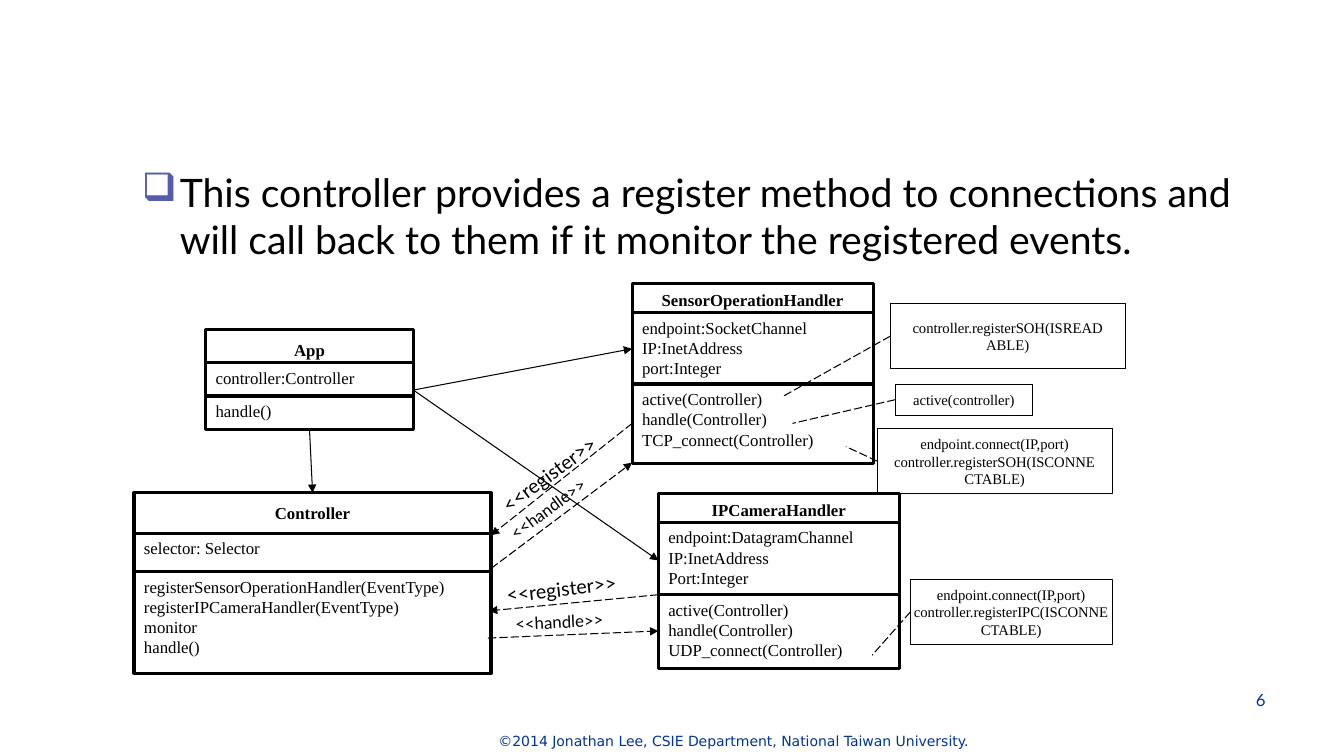
from pptx import Presentation
from pptx import util as u
from pptx.dml.color import RGBColor
from pptx.enum import dml, shapes, text
from pptx.oxml import ns
from lxml import etree

BLACK = RGBColor(0x00, 0x00, 0x00)
WHITE = RGBColor(0xFF, 0xFF, 0xFF)
NAVY = RGBColor(0x00, 0x33, 0x99)
VIOLET = RGBColor(0x55, 0x5D, 0xAB)

SERIF, SANS, FOOTER_FONT = "Times New Roman", "Lato", "DejaVu Sans"
LEFT, CENTER, RIGHT = text.PP_ALIGN.LEFT, text.PP_ALIGN.CENTER, text.PP_ALIGN.RIGHT
TOP, MIDDLE = text.MSO_ANCHOR.TOP, text.MSO_ANCHOR.MIDDLE

CELL = u.Inches(0.1)
PAGE_COLUMNS, PAGE_ROWS = 133.3, 75

CLASSES = [
    (13.3, 35.4, [
        (48.9, 4, ["Controller"]),
        (52.9, 3.8, ["selector: Selector"]),
        (56.7, 10.1, ["registerSensorOperationHandler(EventType)",
                      "registerIPCameraHandler(EventType)", "monitor", "handle()"]),
    ]),
    (20.4, 20.6, [
        (32.7, 4, ["App"]),
        (36, 3.3, ["controller:Controller"]),
        (39.3, 3.3, ["handle()"]),
    ]),
    (62.7, 23.9, [
        (28.1, 3.2, ["SensorOperationHandler"]),
        (31, 7.3, ["endpoint:SocketChannel", "IP:InetAddress", "port:Integer"]),
        (38.1, 7.9, ["active(Controller)", "handle(Controller)", "TCP_connect(Controller)"]),
    ]),
    (65.3, 23.9, [
        (49, 3.2, ["IPCameraHandler"]),
        (51.8, 7.5, ["endpoint:DatagramChannel", "IP:InetAddress", "Port:Integer"]),
        (59, 7.3, ["active(Controller)", "handle(Controller)", "UDP_connect(Controller)"]),
    ]),
]

USES = [
    ((41, 38.7), (62.7, 34.6)),
    ((41, 38.7), (65.3, 55.6)),
    ((30.7, 42.6), (31, 48.9)),
]

MESSAGES = [
    ((62.7, 42), (48.7, 53.1)),
    ((65.3, 59), (48.5, 60.6)),
    ((48.7, 56.4), (62.7, 45.9)),
    ((48.4, 63.3), (65.3, 62.6)),
]

LABELS = [
    ("<<register>>", 14, (48, 44.3, 16.1, 3.5), 323.5),
    ("<<register>>", 14, (49.5, 56.7, 14.9, 3.5), 353.5),
    ("<<handle>>", 12, (50.4, 60.2, 13.7, 3.1), 357.3),
    ("<<handle>>", 12, (49, 48, 13.7, 3.1), 323.9),
]

NOTES = [
    ((88.3, 30.1, 23.3, 6.5), (77.7, 39.3),
     ["controller.registerSOH(ISREAD", "ABLE)"]),
    ((88.8, 38.1, 13.6, 3.1), (78.6, 42), ["active(controller)"]),
    ((87, 42.5, 23.3, 6.5), (83.9, 44.3),
     ["endpoint.connect(IP,port)", "controller.registerSOH(ISCONNE", "CTABLE)"]),
    ((90.3, 57.5, 20, 6.4), (86.5, 65),
     ["endpoint.connect(IP,port)", "controller.registerIPC(ISCONNE", "CTABLE)"]),
]


def cells(*counts):
    return [round(count * CELL) for count in counts]


def write(box, lines, size, font=SERIF, color=BLACK, bold=False,
          align=LEFT, anchor=TOP, inset=(1, 0.5), wrap=True):
    frame = box.text_frame
    frame.word_wrap = wrap
    frame.vertical_anchor = anchor
    frame.margin_left = frame.margin_right = cells(inset[0])[0]
    frame.margin_top = frame.margin_bottom = cells(inset[1])[0]
    for index, line in enumerate(lines):
        para = frame.add_paragraph() if index else frame.paragraphs[0]
        para.alignment = align
        span = para.add_run()
        span.text = line
        span.font.size = u.Pt(size)
        span.font.name = font
        span.font.bold = bold
        span.font.color.rgb = color


def add_text(page, area, lines, size, **style):
    box = page.shapes.add_textbox(*cells(*area))
    write(box, lines, size, **style)
    return box


def add_box(page, area, line_width, fill=None):
    box = page.shapes.add_shape(shapes.MSO_SHAPE.RECTANGLE, *cells(*area))
    box.shadow.inherit = False
    if fill is None:
        box.fill.background()
    else:
        box.fill.solid()
        box.fill.fore_color.rgb = fill
    box.line.color.rgb = BLACK
    box.line.width = u.Pt(line_width)
    return box


def add_class(page, left, width, compartments):
    for index, (top, height, lines) in enumerate(compartments):
        heading = index == 0
        box = add_box(page, (left, top, width, height), 2.25, WHITE)
        write(box, lines, 12, bold=heading, wrap=False,
              align=CENTER if heading else LEFT,
              anchor=MIDDLE if heading else TOP)


def add_line(page, start, end, dashed=False, arrow=False):
    line = page.shapes.add_connector(
        shapes.MSO_CONNECTOR.STRAIGHT, *cells(*start, *end))
    line.line.color.rgb = BLACK
    line.line.width = u.Pt(0.75)
    if dashed:
        line.line.dash_style = dml.MSO_LINE.LONG_DASH
    if arrow:
        etree.SubElement(line.line._get_or_add_ln(), ns.qn("a:tailEnd"), type="triangle")
    etree.SubElement(line._element.spPr, ns.qn("a:effectLst"))


def add_note(page, area, target, lines):
    left, top, width, height = area
    box = add_box(page, area, 0.75)
    write(box, lines, 10.5, align=CENTER, anchor=MIDDLE, inset=(0.7, 0.4), wrap=False)
    add_line(page, (left, top + height / 2), target, dashed=True)


def add_label(page, label, size, area, angle):
    box = add_text(page, area, [label], size, font=SANS, inset=(0.7, 0.4))
    box.rotation = angle


def add_bullet(para, symbol, color, indent):
    props = para._p.get_or_add_pPr()
    props.set("marL", str(indent))
    props.set("indent", str(-indent))
    bullet_color = etree.SubElement(props, ns.qn("a:buClr"))
    etree.SubElement(bullet_color, ns.qn("a:srgbClr"), val=str(color))
    etree.SubElement(props, ns.qn("a:buChar"), char=symbol)


def main():
    deck = Presentation()
    deck.slide_width, deck.slide_height = cells(PAGE_COLUMNS, PAGE_ROWS)
    page = deck.slides.add_slide(deck.slide_layouts[6])

    add_text(page, (24.6, 72.2, 96.3, 2.7),
             ["©2014 Jonathan Lee, CSIE Department, National Taiwan University."],
             10, font=FOOTER_FONT, color=NAVY, align=CENTER)
    body = add_text(page, (13.1, 16.2, 113.4, 50.4),
                    ["This controller provides a register method to connections and "
                     "will call back to them if it monitor the registered events."],
                    28, font=SANS)
    add_bullet(body.text_frame.paragraphs[0], "❑", VIOLET, cells(3.75)[0])
    add_text(page, (98.7, 67.9, 27.8, 5), ["6"], 12, font=SANS, color=NAVY, align=RIGHT)

    for uml_class in CLASSES:
        add_class(page, *uml_class)
    for start, end in USES:
        add_line(page, start, end, arrow=True)
    for start, end in MESSAGES:
        add_line(page, start, end, dashed=True, arrow=True)
    for label in LABELS:
        add_label(page, *label)
    for note in NOTES:
        add_note(page, *note)

    deck.save("out.pptx")


if __name__ == "__main__":
    main()
